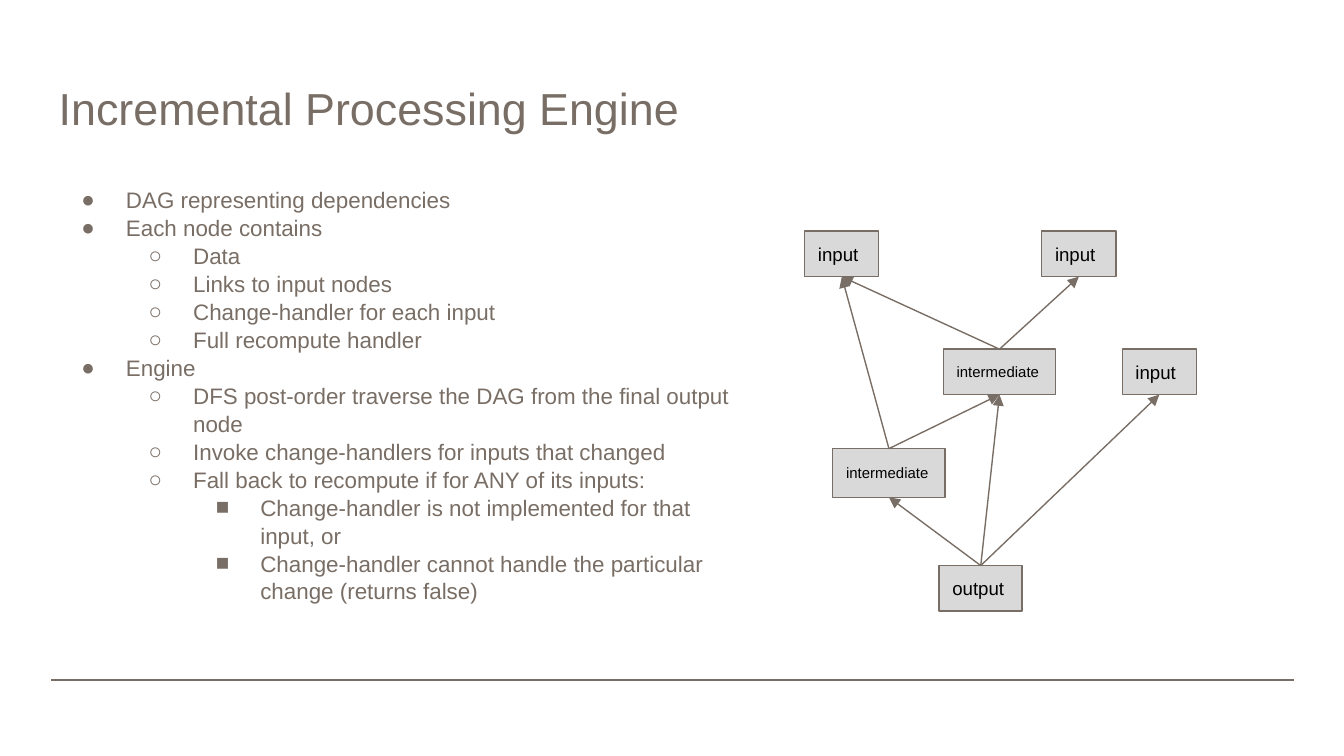
from typing import NamedTuple

import pptx
import pptx.dml.color
import pptx.enum.dml
import pptx.enum.shapes
import pptx.enum.text
import pptx.oxml
import pptx.oxml.ns
import pptx.util
from pptx.util import Cm, Pt

TAUPE = pptx.dml.color.RGBColor(0x79, 0x6E, 0x65)
GREY = pptx.dml.color.RGBColor(0xD9, 0xD9, 0xD9)
BLACK = pptx.dml.color.RGBColor(0, 0, 0)
FONT = "Arial"
INSET = Cm(0.25)
BULLETS = "●○■"
TOP_SITE, BOTTOM_SITE = 0, 2


class Point(NamedTuple):
    text: str
    level: int = 0


class Node(NamedTuple):
    label: str
    left: float
    top: float
    width: float = 1.4
    height: float = 0.86
    size: int = 10


class Link(NamedTuple):
    source: str
    target: str


POINTS = [
    Point("DAG representing dependencies"),
    Point("Each node contains"),
    Point("Data", 1),
    Point("Links to input nodes", 1),
    Point("Change-handler for each input", 1),
    Point("Full recompute handler", 1),
    Point("Engine"),
    Point("DFS post-order traverse the DAG from the final output node", 1),
    Point("Invoke change-handlers for inputs that changed", 1),
    Point("Fall back to recompute if for ANY of its inputs:", 1),
    Point("Change-handler is not implemented for that input, or", 2),
    Point("Change-handler cannot handle the particular change (returns false)", 2),
]

NODES = {
    "left input": Node("input", 15.21, 4.37),
    "upper step": Node("intermediate", 17.83, 6.6, width=2.12, size=8),
    "middle input": Node("input", 19.69, 4.37),
    "lower step": Node("intermediate", 15.74, 8.48, width=2.12, height=0.92, size=8),
    "output": Node("output", 17.75, 10.69, width=1.57),
    "right input": Node("input", 21.21, 6.6),
}

LINKS = [
    Link("upper step", "left input"),
    Link("upper step", "middle input"),
    Link("lower step", "upper step"),
    Link("lower step", "left input"),
    Link("output", "upper step"),
    Link("output", "lower step"),
    Link("output", "right input"),
]


def set_attributes(target, values: dict) -> None:
    for name, value in values.items():
        setattr(target, name, value)


def style_font(font, size: int, color) -> None:
    set_attributes(font, {"name": FONT, "size": Pt(size)})
    font.color.rgb = color


def style_frame(frame, anchor) -> None:
    set_attributes(frame, {
        "margin_left": INSET, "margin_right": INSET,
        "margin_top": INSET, "margin_bottom": INSET,
        "word_wrap": True, "vertical_anchor": anchor,
        "auto_size": pptx.enum.text.MSO_AUTO_SIZE.NONE,
    })


def place(shape, left: float, top: float, width: float, height: float) -> None:
    set_attributes(shape, {"left": Cm(left), "top": Cm(top),
                           "width": Cm(width), "height": Cm(height)})


def add_bullet(paragraph, level: int) -> None:
    properties = paragraph._p.get_or_add_pPr()
    properties.set("marL", str(Cm(1.27 * (level + 1))))
    properties.set("indent", str(-Cm(0.84)))
    color = pptx.oxml.parse_xml(
        f'<a:buClr {pptx.oxml.ns.nsdecls("a")}><a:srgbClr val="{TAUPE}"/></a:buClr>')
    mark = pptx.oxml.parse_xml(
        f'<a:buChar {pptx.oxml.ns.nsdecls("a")} char="{BULLETS[level]}"/>')
    properties.extend([color, mark])


def fill_list(frame, points: list[Point]) -> None:
    for index, point in enumerate(points):
        paragraph = frame.add_paragraph() if index else frame.paragraphs[0]
        paragraph.text = point.text
        set_attributes(paragraph, {
            "level": point.level, "space_before": Pt(0),
            "line_spacing": 1.04 if index else 1.15,
            "alignment": pptx.enum.text.PP_ALIGN.LEFT,
        })
        add_bullet(paragraph, point.level)
        style_font(paragraph.runs[0].font, 12, TAUPE)


def add_node(slide, node: Node):
    box = slide.shapes.add_shape(
        pptx.enum.shapes.MSO_SHAPE.RECTANGLE,
        Cm(node.left), Cm(node.top), Cm(node.width), Cm(node.height))
    box.shadow.inherit = False
    box.fill.solid()
    box.fill.fore_color.rgb = GREY
    box.line.color.rgb = TAUPE
    box.line.width = Pt(0.75)
    style_frame(box.text_frame, pptx.enum.text.MSO_ANCHOR.MIDDLE)
    label = box.text_frame.paragraphs[0]
    label.text = node.label
    label.alignment = pptx.enum.text.PP_ALIGN.LEFT
    style_font(label.runs[0].font, node.size, BLACK)
    return box


def add_line(slide, start: tuple, end: tuple, weight: float):
    line = slide.shapes.add_connector(
        pptx.enum.shapes.MSO_CONNECTOR.STRAIGHT,
        *(Cm(value) for value in (*start, *end)))
    line.line.color.rgb = TAUPE
    line.line.width = Pt(weight)
    line._element.spPr.append(
        pptx.oxml.parse_xml(f'<a:effectLst {pptx.oxml.ns.nsdecls("a")}/>'))
    return line


def add_arrow(slide, source, target) -> None:
    """Link the top of the source box to the bottom of the target box."""
    arrow = add_line(slide, (0, 0), (1, 1), 0.75)
    arrow.begin_connect(source, TOP_SITE)
    arrow.end_connect(target, BOTTOM_SITE)
    arrow.line._get_or_add_ln().append(pptx.oxml.parse_xml(
        f'<a:tailEnd {pptx.oxml.ns.nsdecls("a")} type="triangle"/>'))


def main() -> None:
    deck = pptx.Presentation()
    set_attributes(deck, {"slide_width": Cm(25.4), "slide_height": Cm(14.29)})
    slide = deck.slides.add_slide(deck.slide_layouts[1])

    add_line(slide, (0.97, 12.85), (24.46, 12.85), 1)

    heading = slide.shapes.title
    place(heading, 0.86, 1.24, 23.67, 1.6)
    style_frame(heading.text_frame, pptx.enum.text.MSO_ANCHOR.MIDDLE)
    heading.text_frame.text = "Incremental Processing Engine"
    heading_line = heading.text_frame.paragraphs[0]
    heading_line.alignment = pptx.enum.text.PP_ALIGN.LEFT
    style_font(heading_line.runs[0].font, 24, TAUPE)

    outline = slide.placeholders[1]
    place(outline, 0.86, 3.2, 13.28, 10.92)
    style_frame(outline.text_frame, pptx.enum.text.MSO_ANCHOR.TOP)
    fill_list(outline.text_frame, POINTS)

    boxes = {key: add_node(slide, node) for key, node in NODES.items()}
    for link in LINKS:
        add_arrow(slide, boxes[link.source], boxes[link.target])

    deck.save("out.pptx")


if __name__ == "__main__":
    main()
